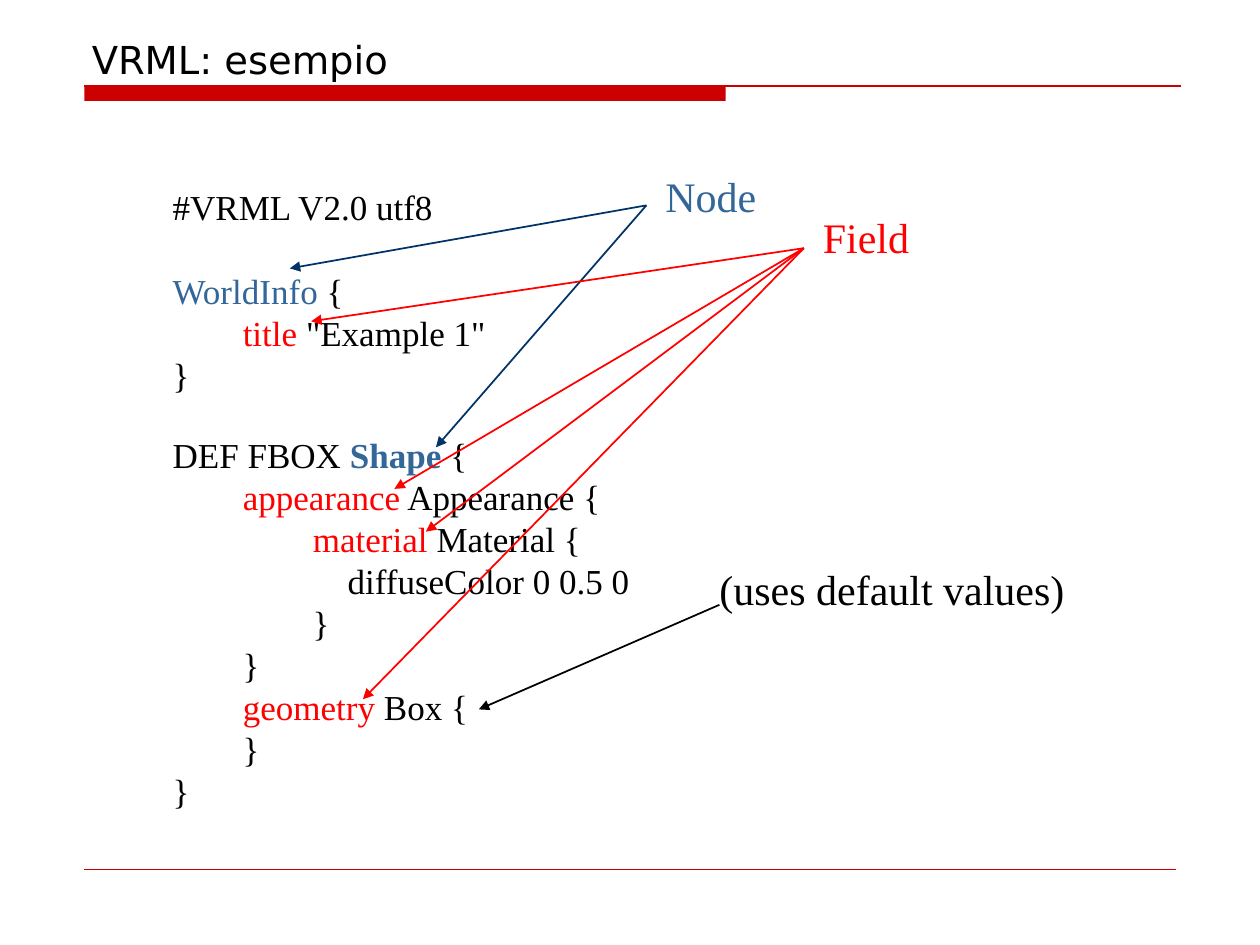
from lxml.etree import SubElement
from pptx import Presentation
from pptx.dml.color import RGBColor
from pptx.enum.shapes import MSO_CONNECTOR, MSO_SHAPE
from pptx.enum.text import MSO_ANCHOR, MSO_AUTO_SIZE
from pptx.oxml.ns import qn
from pptx.util import Inches, Pt

color = RGBColor.from_string
RED, BLUE, NAVY, BLACK, BAR = "FF0000", "336699", "003366", "000000", "CC0000"
SERIF = "Times New Roman"

deck = Presentation()
deck.slide_width, deck.slide_height = Inches(10), Inches(7.5)
slide = deck.slides.add_slide(deck.slide_layouts[6])


def add_line(start, end, tint, arrow=True):
    ends = [Inches(v) for v in (*start, *end)]
    line = slide.shapes.add_connector(MSO_CONNECTOR.STRAIGHT, *ends)
    line.line.color.rgb = color(tint)
    line.line.width = Pt(1)
    if arrow:
        SubElement(line.line._get_or_add_ln(), qn("a:tailEnd"), type="triangle")
    SubElement(line._element.spPr, qn("a:effectLst"))


def add_box(left, top, width, height):
    box = slide.shapes.add_textbox(*[Inches(v) for v in (left, top, width, height)])
    frame = box.text_frame
    frame.word_wrap = False
    frame.auto_size = MSO_AUTO_SIZE.SHAPE_TO_FIT_TEXT
    frame.margin_left = frame.margin_right = Inches(0.04)
    frame.margin_top = frame.margin_bottom = 0
    return frame


bar = slide.shapes.add_shape(
    MSO_SHAPE.RECTANGLE, Inches(0.67), Inches(0.68), Inches(5.09), Inches(0.12))
bar.shadow.inherit = False
bar.fill.solid()
bar.fill.fore_color.rgb = color(BAR)
bar.line.fill.background()
add_line((0.67, 0.68), (9.37, 0.68), BAR, False)
add_line((0.67, 6.9), (9.33, 6.9), BAR, False)

title = add_box(0.63, 0, 8.75, 0.71)
title.auto_size = MSO_AUTO_SIZE.NONE
title.word_wrap = True
title.vertical_anchor = MSO_ANCHOR.BOTTOM
title.margin_left = Inches(0.1)
title.margin_bottom = Inches(0.06)
head = title.paragraphs[0]
head.text = "VRML: esempio"
head.font.size = Pt(22)
head.font.name = "DejaVu Sans"
head.font.color.rgb = color(BLACK)

code = [
    ("#VRML V2.0 utf8", "", ""),
    ("", "WorldInfo", " {"),
    ("        ", "title", ' "Example 1"'),
    ("}", "", ""),
    ("DEF FBOX ", "Shape", " {"),
    ("        ", "appearance", " Appearance {"),
    ("                ", "material", " Material {"),
    ("                    diffuseColor 0 0.5 0", "", ""),
    ("                }", "", ""),
    ("        }", "", ""),
    ("        ", "geometry", " Box {"),
    ("        }", "", ""),
    ("}", "", ""),
]
nodes = ("WorldInfo", "Shape")
gaps = {"WorldInfo": 24, "Shape": 22}
frame = add_box(1.33, 1.47, 3.72, 4.97)
for row, (lead, key, rest) in enumerate(code):
    para = frame.add_paragraph() if row else frame.paragraphs[0]
    para.font.size = Pt(20)
    para.font.name = SERIF
    para.font.color.rgb = color(BLACK)
    if key in gaps:
        para.space_before = Pt(gaps[key])
    for text in filter(None, (lead, key, rest)):
        run = para.add_run()
        run.text = text
        if text == key:
            run.font.color.rgb = color(BLUE if key in nodes else RED)
            if key == "Shape":
                run.font.bold = True

labels = [
    ("Node", 5.24, 1.35, 0.81, BLUE),
    ("Field", 6.49, 1.68, 0.77, RED),
    ("(uses default values)", 5.67, 4.47, 2.83, BLACK),
]
for text, left, top, width, tint in labels:
    para = add_box(left, top, width, 0.4).paragraphs[0]
    para.text = text
    para.font.size = Pt(24)
    para.font.name = SERIF
    para.font.color.rgb = color(tint)

fans = [
    ((5.13, 1.63), NAVY, [(2.3, 2.13), (3.46, 3.55)]),
    ((6.38, 1.97), RED, [(2.47, 2.55), (3.13, 3.88), (3.38, 4.22), (2.88, 5.55)]),
    ((5.71, 4.8), BLACK, [(3.8, 5.63)]),
]
for start, tint, tips in fans:
    for tip in tips:
        add_line(start, tip, tint)

deck.save("out.pptx")
